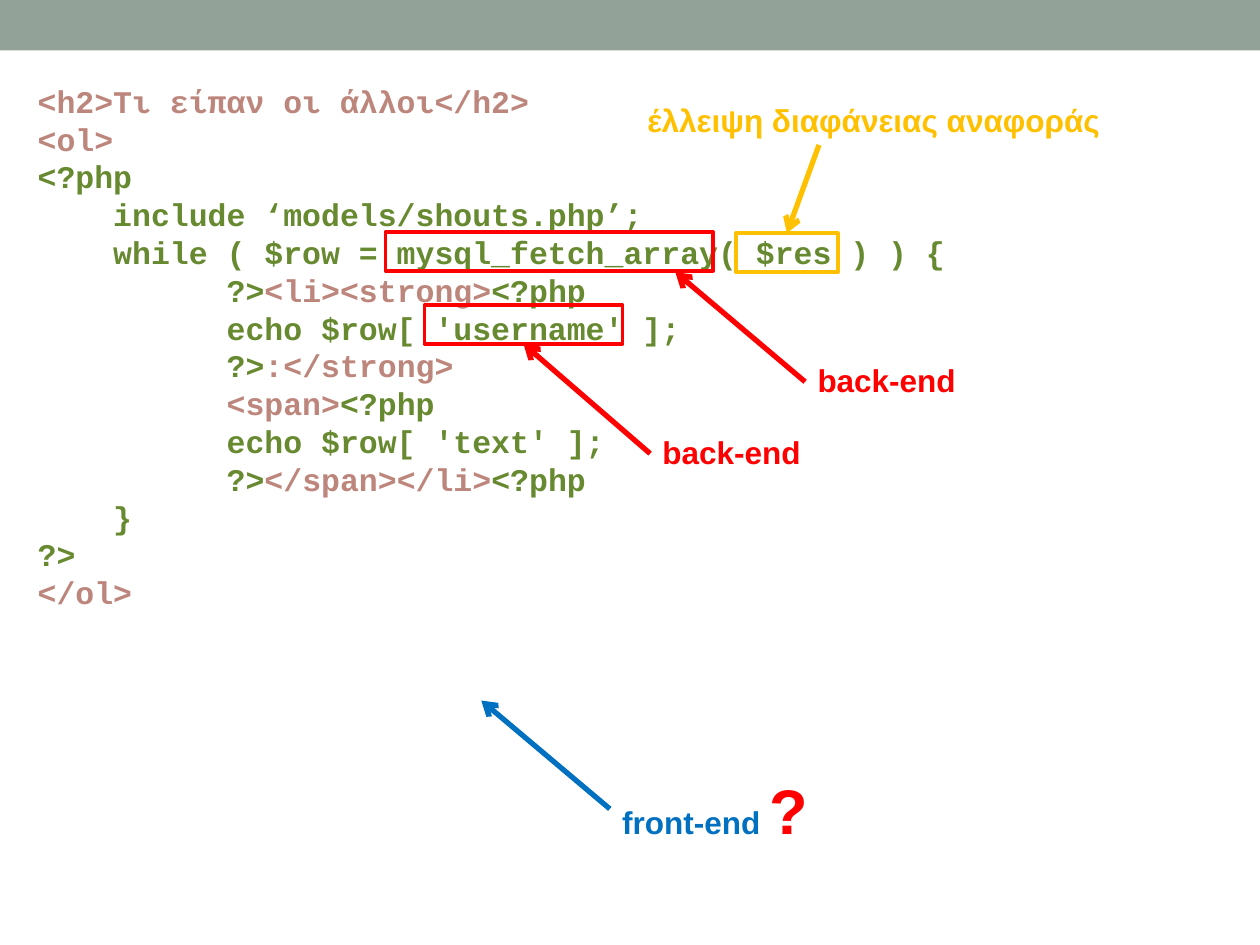
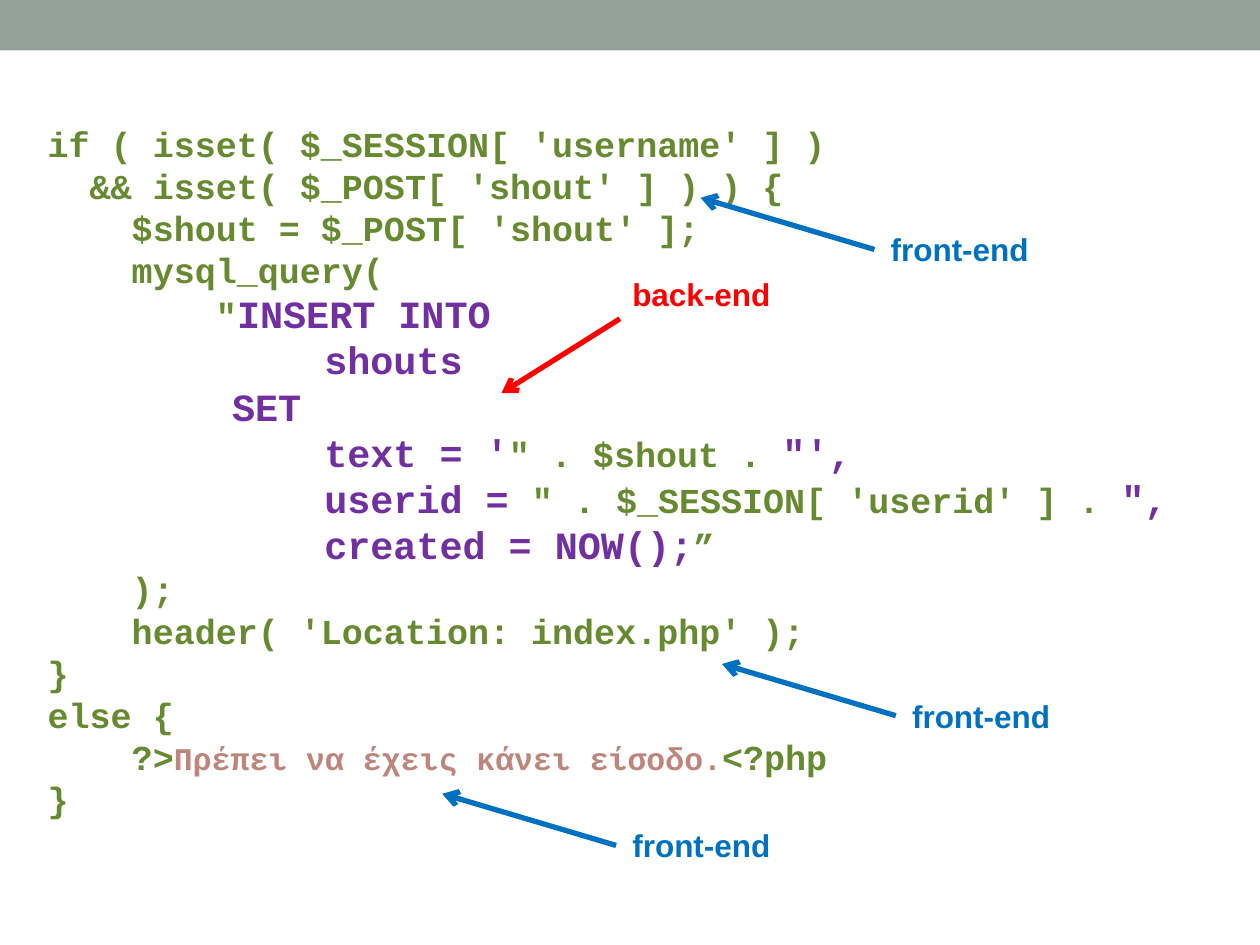
from lxml.etree import SubElement
from pptx import Presentation
from pptx.dml.color import RGBColor
from pptx.enum.shapes import MSO_CONNECTOR as Connector, MSO_SHAPE as Shape
from pptx.enum.text import MSO_AUTO_SIZE as AutoSize
from pptx.oxml.ns import qn
from pptx.util import Emu, Pt

EMU_PER_PX = 9144  # 100 px to the inch
BAND, RED, BLUE, YELLOW = "93A299", "FF0000", "0070C0", "FFC000"
PHP_COLOR, HTML_COLOR, SQL_COLOR = "678930", "BD867C", "7030A0"
LABEL_FONT, CODE_FONT = "Arial", "Courier New"
LABEL_SIZE = 18
CODE_LEADING = 1.2
BOTTOM, TOP = 2, 0


def px(length):
    return Emu(length * EMU_PER_PX)


def color(hex_code):
    return RGBColor.from_string(hex_code)


class Deck:
    """Holds the shared style and the slide being drawn."""

    def __init__(self):
        self.presentation = Presentation()
        self.presentation.slide_width = px(1000)
        self.presentation.slide_height = px(750)
        self.slide = None

    def new_slide(self):
        self.slide = self.presentation.slides.add_slide(self.presentation.slide_layouts[6])
        band = self.rectangle(0, 0, 1000, 40)
        band.fill.solid()
        band.fill.fore_color.rgb = color(BAND)

    def rectangle(self, left, top, width, height):
        shape = self.slide.shapes.add_shape(
            Shape.RECTANGLE, px(left), px(top), px(width), px(height))
        shape.shadow.inherit = False
        shape.line.fill.background()
        return shape

    def frame(self, left, top, width, height, line_color):
        """Outline a piece of code."""
        shape = self.rectangle(left, top, width, height)
        shape.fill.background()
        shape.line.color.rgb = color(line_color)
        shape.line.width = Pt(2.08)
        return shape

    def arrow(self, start, end, line_color, target=None, side=None):
        connector = self.slide.shapes.add_connector(
            Connector.STRAIGHT, *map(px, start + end))
        if target is not None:
            connector.end_connect(target, side)
        connector.line.color.rgb = color(line_color)
        connector.line.width = Pt(3)
        SubElement(connector.line._get_or_add_ln(), qn("a:tailEnd"), type="arrow")
        SubElement(connector._element.spPr, qn("a:effectLst"))

    def text(self, left, top, width, height, lines, font_name, leading=None, wrap=True):
        """Write lines, each a list of (text, size, colour) runs."""
        box = self.slide.shapes.add_textbox(px(left), px(top), px(width), px(height))
        frame = box.text_frame
        frame.word_wrap = wrap
        frame.auto_size = AutoSize.SHAPE_TO_FIT_TEXT
        for index, runs in enumerate(lines):
            paragraph = frame.add_paragraph() if index else frame.paragraphs[0]
            if leading:
                paragraph.line_spacing = Pt(leading * max(size for _, size, _ in runs))
            paragraph.font.name = font_name
            paragraph.font.bold = True
            for text, size, hex_code in runs:
                run = paragraph.add_run()
                run.text = text
                font = paragraph.font if len(runs) == 1 else run.font
                font.size = Pt(size)
                font.color.rgb = color(hex_code)

    def label(self, left, top, width, text, hex_code, wrap=True):
        self.text(left, top, width, 40, [[(text, LABEL_SIZE, hex_code)]], LABEL_FONT, wrap=wrap)

    def code(self, left, top, width, height, lines, php_size):
        """Write code lines, each a list of (language, text) pieces."""
        styles = {
            "php": (php_size, PHP_COLOR),
            "html": (18, HTML_COLOR),
            "sql": (22, SQL_COLOR),
        }
        styled = [[(text, *styles[language]) for language, text in line] for line in lines]
        self.text(left, top, width, height, styled, CODE_FONT, CODE_LEADING)


def php(text):
    return "php", text


def html(text):
    return "html", text


def sql(text):
    return "sql", text


SHOUT_LIST_CODE = [
    [html("<h2>Τι είπαν οι άλλοι</h2>")],
    [html("<ol>")],
    [php("<?php")],
    [php("    include ‘models/shouts.php’;")],
    [php("    while ( $row = mysql_fetch_array( $res ) ) {")],
    [php("          ?>"), html("<li><strong>"), php("<?php")],
    [php("          echo $row[ 'username' ];")],
    [php("          ?>"), html(":</strong>")],
    [html("          <span>"), php("<?php")],
    [php("          echo $row[ 'text' ];")],
    [php("          ?>"), html("</span></li>"), php("<?php")],
    [php("    }")],
    [php("?>")],
    [html("</ol>")],
]

NEW_SHOUT_CODE = [
    [php("if ( isset( $_SESSION[ 'username' ] )")],
    [php("  && isset( $_POST[ 'shout' ] ) ) {")],
    [php("    $shout = $_POST[ 'shout' ];")],
    [php("    mysql_query(")],
    [php("        \""), sql("INSERT INTO")],
    [sql("            shouts")],
    [sql("        SET")],
    [sql("            text = '"), php("\" . $shout . "), sql("\"',")],
    [sql("            userid = "), php("\" . $_SESSION[ 'userid' ] . "), sql("\",")],
    [sql("            created = NOW();"), php("”")],
    [php("    );")],
    [php("    header( 'Location: index.php' );")],
    [php("}")],
    [php("else {")],
    [php("    ?>"), html("Πρέπει να έχεις κάνει είσοδο."), php("<?php")],
    [php("}")],
]


def shout_list_slide(deck):
    deck.new_slide()
    deck.code(20, 60, 969, 434, SHOUT_LIST_CODE, php_size=18)

    deck.arrow((484, 642), (382, 556), BLUE)
    front_end_question = [("front-end ", LABEL_SIZE, BLUE), ("?", 36, RED)]
    deck.text(484, 607, 276, 71, [front_end_question], LABEL_FONT)

    deck.frame(306, 184, 260, 31, RED)
    deck.arrow((639, 303), (536, 216), RED)
    deck.label(639, 282, 176, "back-end", RED)

    username_frame = deck.frame(337, 242, 157, 31, RED)
    deck.arrow((516, 360), (414, 273), RED, username_frame, BOTTOM)
    deck.label(516, 339, 176, "back-end", RED)

    result_frame = deck.frame(584, 185, 81, 31, YELLOW)
    deck.arrow((650, 115), (628, 185), YELLOW, result_frame, TOP)
    deck.label(504, 75, 383, "έλλειψη διαφάνειας αναφοράς", YELLOW, wrap=False)


def new_shout_slide(deck):
    deck.new_slide()
    deck.code(28, 92, 961, 569, NEW_SHOUT_CODE, php_size=20)

    deck.arrow((492, 253), (398, 312), RED)
    deck.label(492, 213, 307, "back-end", RED)

    for left, top in ((492, 651), (714, 548), (697, 178)):
        deck.arrow((left - 3, top + 20), (left - 141, top - 21), BLUE)
        deck.label(left, top, 149, "front-end", BLUE)


def main():
    deck = Deck()
    shout_list_slide(deck)
    new_shout_slide(deck)
    deck.presentation.save("out.pptx")


if __name__ == "__main__":
    main()
